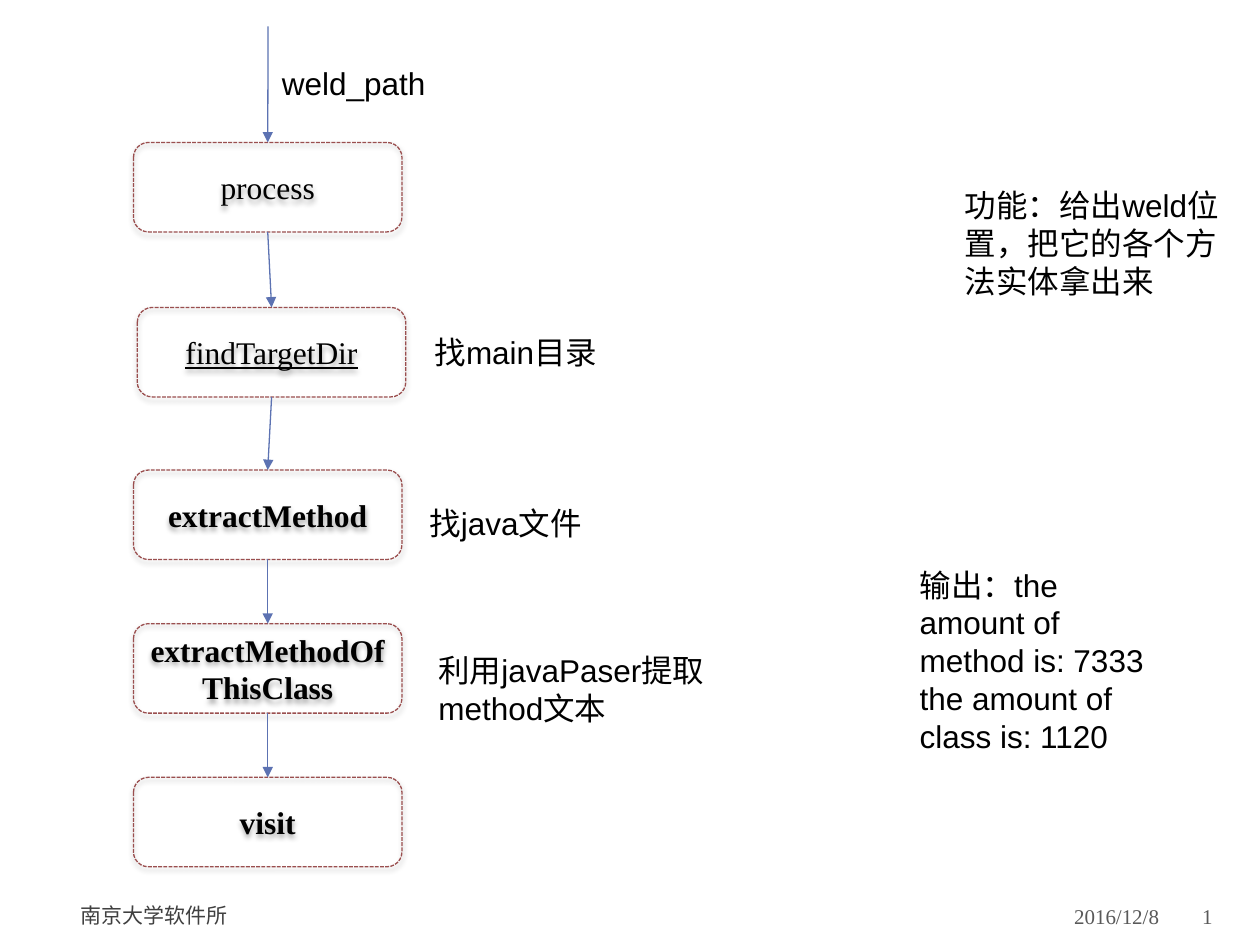
"""Build a slide showing the call flow that extracts method bodies from weld."""
from lxml.etree import SubElement
from pptx import Presentation
from pptx.dml.color import RGBColor
from pptx.enum.dml import MSO_LINE_DASH_STYLE as Dash
from pptx.enum.shapes import MSO_CONNECTOR as Connector, MSO_SHAPE as Shape
from pptx.enum.text import MSO_ANCHOR as Anchor, PP_ALIGN as Align
from pptx.oxml.ns import qn
from pptx.util import Pt

COLORS = {"text": "000000", "border": "9A4E4E", "arrow": "5C72B2",
          "footer": "404040", "date": "595959", "shadow": "000000"}
SERIF, SANS, CHINESE = "Times New Roman", "Arial", "Noto Sans CJK SC"
BOX_WIDTH, BOX_HEIGHT = 153.4, 51.1
ENTRY = (153.2, 15.1)

STEPS = [
    ("process", 76.3, 81.4, {}),
    ("findTargetDir", 78.5, 175.7, {"underline": True}),
    ("extractMethod", 76.3, 268.6, {"bold": True}),
    ("extractMethodOfThisClass", 76.3, 356.4, {"bold": True}),
    ("visit", 76.3, 444.2, {"bold": True}),
]
NOTES = [
    (["weld_path"], (154, 33.1, 114.5, 28.8)),
    (["找main目录"], (241.2, 186.5, 108.7, 28.8)),
    (["找java文件"], (238.3, 284.4, 108.7, 28.8)),
    (["利用javaPaser提取method文本"], (243.4, 368.6, 223.9, 51.1)),
    (["功能：给出weld位置，把它的各个方法实体拿出来"], (544.3, 103, 175.7, 72.7)),
    (["输出：the amount of method is: 7333", "the amount of class is: 1120"],
     (518.4, 319.7, 147.6, 116.6)),
]
FOOTERS = [
    ("2016/12/8", (501.8, 509, 164.2, 28.8), (7.2, 3.6), Align.RIGHT, SERIF, "date"),
    ("南京大学软件所", (42.5, 508.3, 320.4, 28.8), (3.6, 7.2), Align.LEFT, CHINESE, "footer"),
    ("1", (684.7, 509, 32.4, 28.8), (2.2, 3.6), Align.LEFT, SERIF, "date"),
]


def color(name):
    return RGBColor.from_string(COLORS[name])


def write(shape, lines, font, size=18, tint="text", align=Align.LEFT,
          anchor=Anchor.TOP, formats=None):
    frame = shape.text_frame
    frame.word_wrap = True
    frame.vertical_anchor = anchor
    for index, line in enumerate(lines):
        paragraph = frame.add_paragraph() if index else frame.paragraphs[0]
        paragraph.alignment = align
        run = paragraph.add_run()
        run.text = line
        values = {"name": font, "size": Pt(size), **(formats or {})}
        for key, value in values.items():
            setattr(run.font, key, value)
        run.font.color.rgb = color(tint)
        SubElement(run.font._element, qn("a:ea"), typeface=CHINESE)


def add_text(slide, lines, place, font, **options):
    shape = slide.shapes.add_textbox(*map(Pt, place))
    write(shape, lines, font, **options)
    return shape


def add_step(slide, label, left, top, formats):
    shape = slide.shapes.add_shape(Shape.ROUNDED_RECTANGLE, Pt(left), Pt(top),
                                   Pt(BOX_WIDTH), Pt(BOX_HEIGHT))
    shape.fill.background()
    shape.line.color.rgb = color("border")
    shape.line.width = Pt(0.75)
    shape.line.dash_style = Dash.SQUARE_DOT
    shape.shadow.inherit = False
    effects = shape._element.spPr.find(qn("a:effectLst"))
    shadow = SubElement(effects, qn("a:outerShdw"), blurRad=str(Pt(3.1)),
                        dist=str(Pt(1.8)), dir="5400000", rotWithShape="0")
    tint = SubElement(shadow, qn("a:srgbClr"), val=COLORS["shadow"])
    SubElement(tint, qn("a:alpha"), val="35000")
    write(shape, [label], SERIF, align=Align.CENTER, anchor=Anchor.MIDDLE, formats=formats)


def add_arrow(slide, start, end):
    arrow = slide.shapes.add_connector(Connector.STRAIGHT, *map(Pt, start + end))
    arrow.line.color.rgb = color("arrow")
    arrow.line.width = Pt(0.75)
    SubElement(arrow.line._get_or_add_ln(), qn("a:tailEnd"), type="triangle")
    SubElement(arrow._element.spPr, qn("a:effectLst"))


def main():
    presentation = Presentation()
    presentation.slide_width, presentation.slide_height = Pt(720), Pt(540)
    slide = presentation.slides.add_slide(presentation.slide_layouts[6])

    for label, place, (left, right), align, font, tint in FOOTERS:
        shape = add_text(slide, [label], place, font, size=12, tint=tint,
                         align=align, anchor=Anchor.MIDDLE)
        shape.text_frame.margin_left = Pt(left)
        shape.text_frame.margin_right = Pt(right)

    start = ENTRY
    for label, left, top, formats in STEPS:
        add_step(slide, label, left, top, formats)
        center = left + BOX_WIDTH / 2
        add_arrow(slide, start, (center, top))
        start = (center, top + BOX_HEIGHT)

    for lines, place in NOTES:
        add_text(slide, lines, place, SANS)

    presentation.save("out.pptx")


if __name__ == "__main__":
    main()
